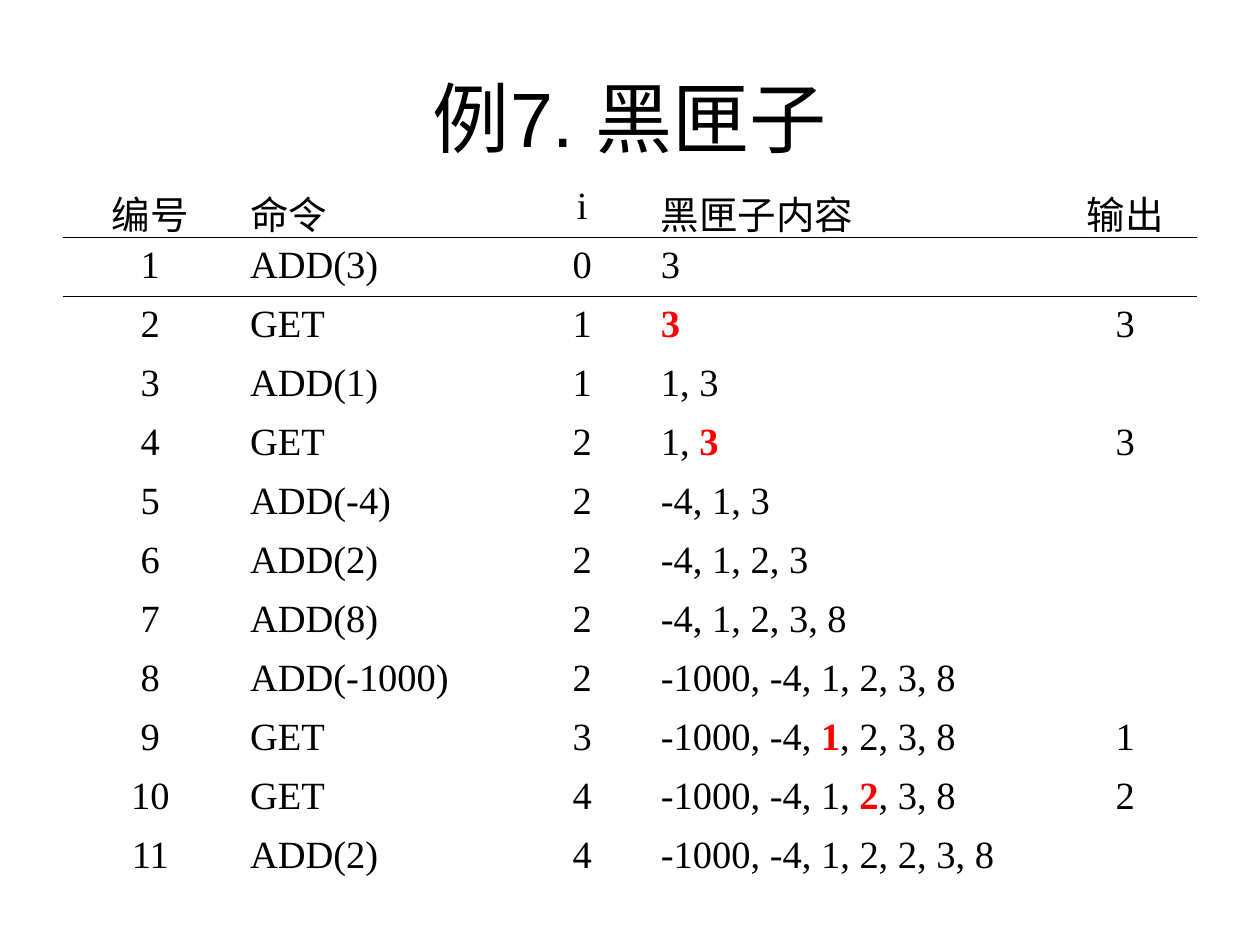
"""Build the slide that traces a black box through eleven commands."""
from lxml.etree import SubElement
from pptx import Presentation
from pptx.dml.color import RGBColor
from pptx.enum.text import MSO_ANCHOR, PP_ALIGN
from pptx.oxml import parse_xml
from pptx.oxml.ns import nsdecls, qn
from pptx.util import Cm, Pt

theme = {
    "title": {"name": "Arial", "size": Pt(44), "bold": False, "color": "000000"},
    "body": {"name": "Times New Roman", "size": Pt(22), "bold": False, "color": "000000"},
    "mark": {"name": "Times New Roman", "size": Pt(22), "bold": True, "color": "FF0000"},
    "rule": {"width": Pt(0.45), "color": "000000"},
}


def write(para, text, style, align):
    para.alignment = align
    for part, piece in enumerate(text.split("*")):
        if piece:
            run = para.add_run()
            run.text = piece
            look = theme["mark" if part % 2 else style]
            for key in ("name", "size", "bold"):
                setattr(run.font, key, look[key])
            run.font.color.rgb = RGBColor.from_string(look["color"])


def rule(cell, side):
    line = parse_xml(f'<a:{side} {nsdecls("a")} w="{int(theme["rule"]["width"])}"/>')
    fill = SubElement(line, qn("a:solidFill"))
    SubElement(fill, qn("a:srgbClr")).set("val", theme["rule"]["color"])
    cell._tc.get_or_add_tcPr().insert(0, line)


deck = Presentation()
deck.slide_width, deck.slide_height = Cm(25.4), Cm(19.05)
slide = deck.slides.add_slide(deck.slide_layouts[6])

frame = slide.shapes.add_textbox(Cm(1.27), Cm(0.76), Cm(22.86), Cm(3.18)).text_frame
for key, value in {"word_wrap": True, "vertical_anchor": MSO_ANCHOR.MIDDLE}.items():
    setattr(frame, key, value)
write(frame.paragraphs[0], "例7. 黑匣子", "title", PP_ALIGN.CENTER)

rows = [
    ("编号", "命令", "i", "黑匣子内容", "输出"),
    ("1", "ADD(3)", "0", "3", ""),
    ("2", "GET", "1", "*3*", "3"),
    ("3", "ADD(1)", "1", "1, 3", ""),
    ("4", "GET", "2", "1, *3*", "3"),
    ("5", "ADD(-4)", "2", "-4, 1, 3", ""),
    ("6", "ADD(2)", "2", "-4, 1, 2, 3", ""),
    ("7", "ADD(8)", "2", "-4, 1, 2, 3, 8", ""),
    ("8", "ADD(-1000)", "2", "-1000, -4, 1, 2, 3, 8", ""),
    ("9", "GET", "3", "-1000, -4, *1*, 2, 3, 8", "1"),
    ("10", "GET", "4", "-1000, -4, 1, *2*, 3, 8", "2"),
    ("11", "ADD(2)", "4", "-1000, -4, 1, 2, 2, 3, 8", ""),
]
widths = [3.52, 5.61, 2.67, 8.17, 2.89]
high = 1.19
table = slide.shapes.add_table(
    len(rows), len(widths), Cm(1.27), Cm(3.6), Cm(sum(widths)), Cm(high * len(rows))
).table
table.first_row = table.horz_banding = False
table._tbl.tblPr.find(qn("a:tableStyleId")).text = "{2D5ABB26-0587-4C30-8999-92F81FD0307C}"
for column, width in zip(table.columns, widths):
    column.width = Cm(width)

for r, row in enumerate(rows):
    table.rows[r].height = Cm(high)
    for c, text in enumerate(row):
        cell = table.cell(r, c)
        cell.fill.background()
        align = PP_ALIGN.LEFT if c in (1, 3) else PP_ALIGN.CENTER
        write(cell.text_frame.paragraphs[0], text, "body", align)
        if r < 2:
            rule(cell, ("lnB", "lnT")[r])

deck.save("out.pptx")
